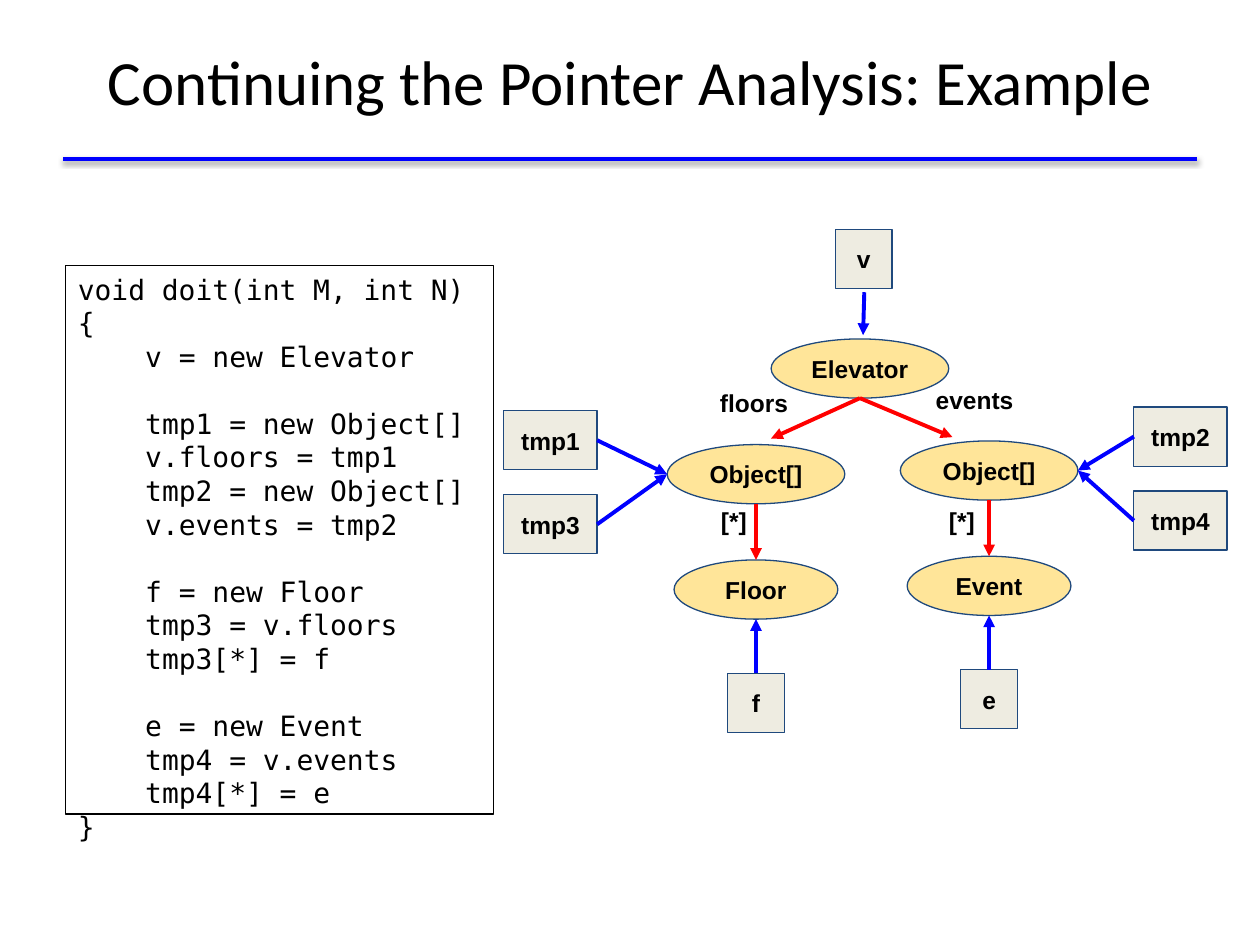
from dataclasses import dataclass
from typing import Any

from lxml.etree import SubElement as Sub
from pptx import Presentation as Deck
from pptx.dml.color import RGBColor
from pptx.enum.shapes import MSO_CONNECTOR as Wire, MSO_SHAPE as Form
from pptx.enum.text import MSO_ANCHOR as Anchor, PP_ALIGN as Align
from pptx.oxml.ns import qn
from pptx.util import Pt

BLUE, RED, BLACK, NAVY = "0000FF", "FF0000", "000000", "1F497D"
HIGH = 33.84
Spot = tuple[float, float]


@dataclass
class Node:
    text: str
    x: float
    y: float
    wide: float
    form: Any = Form.RECTANGLE
    fill: str = "EEECE1"

    def side(self, dx: int, dy: int) -> Spot:
        return self.x + dx * self.wide / 2, self.y + dy * HIGH / 2


@dataclass
class Label:
    text: str
    x: float
    y: float
    wide: float


@dataclass
class Edge:
    start: Spot
    end: Spot
    hue: str = BLUE


@dataclass
class Row:
    text: str
    gap: bool = False
    deep: bool = True


def tint(code: str) -> RGBColor:
    return RGBColor.from_string(code)


def style(item: Any, **vals: Any) -> None:
    for key, val in vals.items():
        setattr(item, key, val)


def box(x: float, y: float, wide: float, high: float) -> list[Pt]:
    return [Pt(x - wide / 2), Pt(y - high / 2), Pt(wide), Pt(high)]


def pad(frame: Any, side: float, top: float) -> None:
    style(frame, word_wrap=True, margin_left=Pt(side), margin_right=Pt(side),
          margin_top=Pt(top), margin_bottom=Pt(top))


def font(run: Any, name: str, size: float, bold: bool = False) -> None:
    style(run.font, name=name, size=Pt(size), bold=bold)
    run.font.color.rgb = tint(BLACK)


def write(frame: Any, text: str) -> None:
    pad(frame, 7.2, 7.2)
    frame.vertical_anchor = Anchor.MIDDLE
    para = frame.paragraphs[0]
    para.alignment = Align.CENTER
    run = para.add_run()
    run.text = text
    font(run, "Arial", 14, True)


def draw_node(pool: Any, node: Node) -> None:
    shape = pool.add_shape(node.form, *box(node.x, node.y, node.wide, HIGH))
    shape.shadow.inherit = False
    shape.fill.solid()
    shape.fill.fore_color.rgb = tint(node.fill)
    shape.line.color.rgb = tint(NAVY)
    shape.line.width = Pt(0.75)
    write(shape.text_frame, node.text)


def draw_label(pool: Any, label: Label) -> None:
    shape = pool.add_textbox(*box(label.x, label.y, label.wide, 38.16))
    write(shape.text_frame, label.text)


def draw_line(pool: Any, edge: Edge, width: float) -> tuple[Any, Any]:
    ends = [Pt(val) for val in edge.start + edge.end]
    line = pool.add_connector(Wire.STRAIGHT, *ends)
    line.line.color.rgb = tint(edge.hue)
    line.line.width = Pt(width)
    return line, Sub(line._element.spPr, qn("a:effectLst"))


def draw_edge(pool: Any, edge: Edge) -> None:
    line, _ = draw_line(pool, edge, 2.25)
    Sub(line.line._get_or_add_ln(), qn("a:tailEnd"), type="triangle")


def draw_rule(pool: Any) -> None:
    _, fx = draw_line(pool, Edge((36, 90.72), (684, 90.72)), 2)
    cast = Sub(fx, qn("a:outerShdw"), blurRad=str(Pt(3.1)),
               dist=str(Pt(1.6)), dir="5400000", rotWithShape="0")
    Sub(Sub(cast, qn("a:srgbClr"), val=BLACK), qn("a:alpha"), val="38000")


def draw_title(title: Any, text: str) -> None:
    style(title, left=Pt(36), top=Pt(0.72), width=Pt(648), height=Pt(90))
    title.text_frame.text = text
    title.text_frame.vertical_anchor = Anchor.MIDDLE
    para = title.text_frame.paragraphs[0]
    para.alignment = Align.CENTER
    font(para.runs[0], "Calibri", 36)


def draw_code(pool: Any, rows: list[Row]) -> None:
    shape = pool.add_textbox(Pt(37.44), Pt(151.92), Pt(244.8), Pt(313.2))
    shape.line.color.rgb = tint(BLACK)
    shape.line.width = Pt(0.75)
    frame = shape.text_frame
    pad(frame, 7.2, 3.6)
    frame.vertical_anchor = Anchor.TOP
    pitch = 19.2
    for num, row in enumerate(rows):
        para = frame.add_paragraph() if num else frame.paragraphs[0]
        style(para, line_spacing=Pt(pitch),
              space_before=Pt(pitch if row.gap else 0))
        if row.deep:
            para._p.get_or_add_pPr().set("marL", str(Pt(38.5)))
        run = para.add_run()
        run.text = row.text
        font(run, "DejaVu Sans Mono", 16)


def oval(text: str, x: float, y: float, wide: float) -> Node:
    return Node(text, x, y, wide, Form.OVAL, "FFE599")


def main() -> None:
    deck = Deck()
    style(deck, slide_width=Pt(720), slide_height=Pt(540))
    slide = deck.slides.add_slide(deck.slide_layouts[5])
    pool = slide.shapes
    draw_rule(pool)
    draw_title(pool.title, "Continuing the Pointer Analysis: Example")

    root = oval("Elevator", 491.4, 210.6, 101.5)
    nodes = [root, Node("v", 493.6, 148, 32.4)]
    edges = [
        Edge((493.9, 167), (493.2, 191.5)),
        Edge(root.side(0, 1), (440.6, 250.6), RED),
        Edge(root.side(0, 1), (544.3, 249.8), RED),
    ]
    sides = [
        (432, 271, 1, 314.6, "Floor", "f", ("tmp1", "tmp3")),
        (565.2, 268.9, -1, 674.6, "Event", "e", ("tmp2", "tmp4")),
    ]
    for x, y, way, far, kind, var, temps in sides:
        array = oval("Object[]", x, y, 101.5)
        leaf = oval(kind, x, y + 65.9, 93.6)
        name = Node(var, x, y + 130.7, 32.4)
        nodes += [array, leaf, name]
        edges += [Edge(array.side(0, 1), leaf.side(0, -1), RED),
                  Edge(name.side(0, -1), leaf.side(0, 1))]
        for step, text in enumerate(temps):
            temp = Node(text, far, y - 19.4 + 48 * step, 53.3)
            nodes.append(temp)
            edges.append(Edge(temp.side(way, 0), array.side(-way, 0)))

    labels = [Label("floors", 430.9, 230, 61.2),
              Label("events", 556.9, 228.6, 61.2),
              Label("[*]", 419.4, 297.7, 41),
              Label("[*]", 549.7, 297.7, 41)]
    for node in nodes:
        draw_node(pool, node)
    for edge in edges:
        draw_edge(pool, edge)
    for label in labels:
        draw_label(pool, label)

    draw_code(pool, [
        Row("void doit(int M, int N) {", deep=False),
        Row("v = new Elevator"),
        Row("tmp1 = new Object[]", gap=True),
        Row("v.floors = tmp1"), Row("tmp2 = new Object[]"),
        Row("v.events = tmp2"),
        Row("f = new Floor", gap=True),
        Row("tmp3 = v.floors"), Row("tmp3[*] = f"),
        Row("e = new Event", gap=True),
        Row("tmp4 = v.events"), Row("tmp4[*] = e"),
        Row("}", deep=False),
    ])
    deck.save("out.pptx")


if __name__ == "__main__":
    main()
